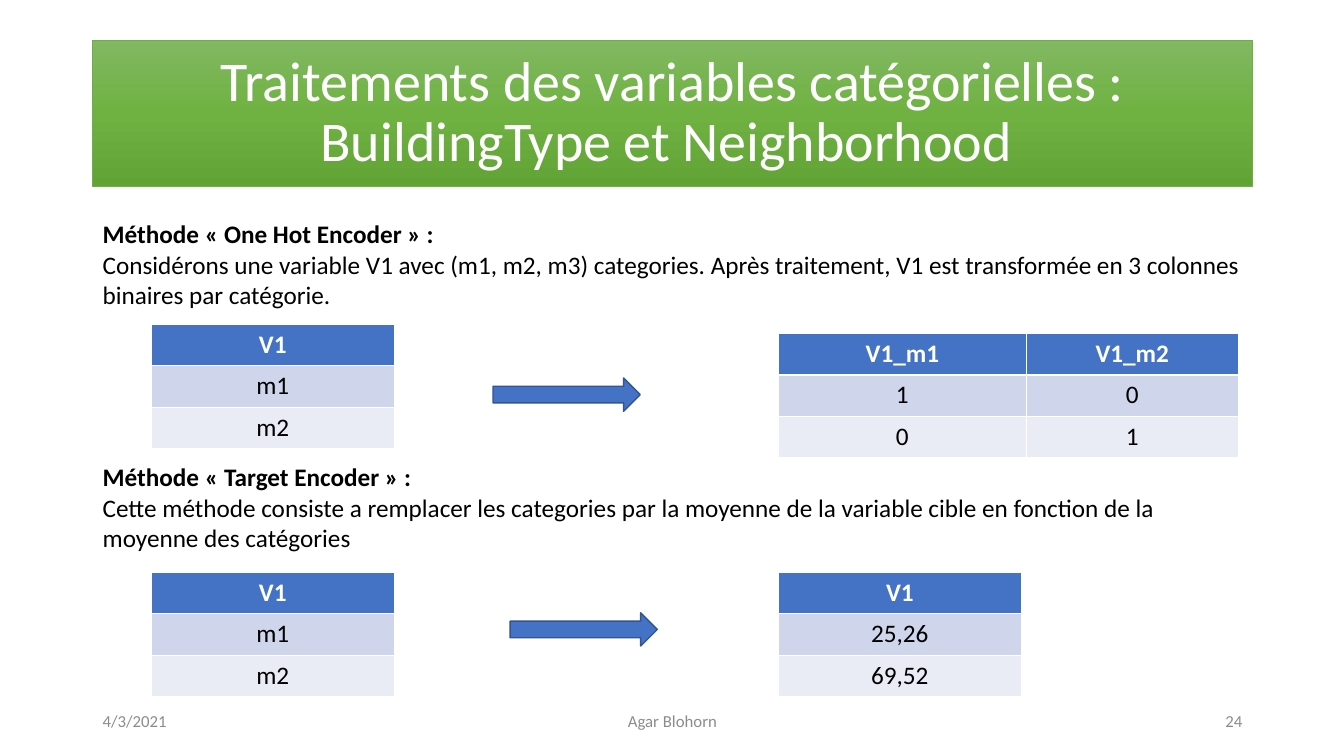
import copy

import pptx
import pptx.dml.color
import pptx.enum.shapes
import pptx.enum.text
import pptx.oxml.ns
import pptx.util
from pptx.dml.color import RGBColor
from pptx.enum.text import MSO_ANCHOR, PP_ALIGN
from pptx.util import Inches, Pt

FONT = "Calibri"
WHITE = RGBColor(0xFF, 0xFF, 0xFF)
BLACK = RGBColor(0, 0, 0)
GREY = RGBColor(0x8C, 0x8C, 0x8C)
BLUE = RGBColor(0x44, 0x72, 0xC4)
DARK_BLUE = RGBColor(0x32, 0x54, 0x91)
BANDS = [RGBColor(0xCF, 0xD5, 0xEA), RGBColor(0xE9, 0xEB, 0xF5)]
GREEN = RGBColor(0x70, 0xAD, 0x47)
GREEN_STOPS = [
    (0, RGBColor(0x81, 0xB8, 0x61)),
    (0.5, RGBColor(0x6F, 0xB2, 0x42)),
    (1, RGBColor(0x62, 0xA3, 0x36)),
]

LEFT, WIDTH, ROW_HEIGHT = 0.92, 11.5, 0.41
TITLE = "Traitements des variables catégorielles :\vBuildingType et Neighborhood "
BEFORE = [["V1"], ["m1"], ["m2"]]
METHODS = [
    {
        "heading": "Méthode «\u00a0One Hot Encoder\u00a0» :",
        "text": "Considérons une variable V1 avec (m1, m2, m3) categories. "
                "Après traitement, V1 est transformée en 3 colonnes binaires par catégorie. ",
        "text_top": 2.12,
        "before_top": 3.22,
        "arrow_at": (4.89, 3.75),
        "after": [["V1_m1", "V1_m2"], ["1", "0"], ["0", "1"]],
        "after_top": 3.31,
        "after_widths": [2.46, 2.1],
    },
    {
        "heading": "Méthode «\u00a0Target Encoder\u00a0» : ",
        "text": "Cette méthode consiste a remplacer les categories par la moyenne "
                "de la variable cible en fonction de la moyenne des catégories",
        "text_top": 4.53,
        "before_top": 5.68,
        "arrow_at": (5.06, 6.08),
        "after": [["V1"], ["25,26"], ["69,52"]],
        "after_top": 5.68,
        "after_widths": [2.41],
    },
]
FOOTER = [  # text, left, width, alignment
    ("4/3/2021", 0.92, 3, PP_ALIGN.LEFT),
    ("Agar Blohorn", 4.42, 4.5, PP_ALIGN.CENTER),
    ("24", 9.42, 3, PP_ALIGN.RIGHT),
]


def format_paragraph(paragraph, size, color, align=PP_ALIGN.LEFT, bold=False):
    """Set the font and alignment of a whole paragraph."""
    font = paragraph.font
    font.name, font.size, font.bold = FONT, Pt(size), bold
    font.color.rgb = color
    paragraph.alignment = align


def add_text(slide, lines, left, top, width, height):
    """Add a wrapping text box and return its text frame."""
    frame = slide.shapes.add_textbox(
        Inches(left), Inches(top), Inches(width), Inches(height)).text_frame
    frame.word_wrap = True
    frame.text = "\n".join(lines)
    return frame


def fill_title(title):
    """Place the title on its green gradient band."""
    title.left, title.top = Inches(LEFT), Inches(0.4)
    title.width, title.height = Inches(WIDTH), Inches(1.45)
    title.fill.gradient()
    title.fill.gradient_angle = 270
    stop_list = title._element.spPr.find(".//" + pptx.oxml.ns.qn("a:gsLst"))
    stop_list.append(copy.deepcopy(stop_list[-1]))
    for stop, (position, color) in zip(title.fill.gradient_stops, GREEN_STOPS):
        stop.position = position
        stop.color.rgb = color
    title.line.color.rgb = GREEN
    title.line.width = Pt(0.5)
    frame = title.text_frame
    frame.text = TITLE
    frame.word_wrap = True
    frame.auto_size = pptx.enum.text.MSO_AUTO_SIZE.NONE
    frame.vertical_anchor = MSO_ANCHOR.MIDDLE
    format_paragraph(frame.paragraphs[0], 40, WHITE, PP_ALIGN.CENTER)
    frame.paragraphs[0].line_spacing = 0.9


def add_values(slide, rows, left, top, widths):
    """Add a table with a blue header and banded rows."""
    table = slide.shapes.add_table(
        len(rows), len(widths), Inches(left), Inches(top),
        Inches(sum(widths)), Inches(ROW_HEIGHT * len(rows))).table
    for column, width in zip(table.columns, widths):
        column.width = Inches(width)
    for r, row in enumerate(rows):
        header = r == 0
        for c, value in enumerate(row):
            cell = table.cell(r, c)
            cell.text = value
            cell.fill.solid()
            cell.fill.fore_color.rgb = BLUE if header else BANDS[(r - 1) % 2]
            format_paragraph(cell.text_frame.paragraphs[0], 18,
                             WHITE if header else BLACK, PP_ALIGN.CENTER, header)


def add_arrow(slide, left, top):
    """Add the block arrow between two tables."""
    arrow = slide.shapes.add_shape(
        pptx.enum.shapes.MSO_SHAPE.RIGHT_ARROW,
        Inches(left), Inches(top), Inches(1.46), Inches(0.33))
    arrow.shadow.inherit = False
    arrow.fill.solid()
    arrow.fill.fore_color.rgb = BLUE
    arrow.line.color.rgb = DARK_BLUE
    arrow.line.width = Pt(1)


def add_method(slide, method):
    """Add one encoding method: explanation, tables and arrow."""
    frame = add_text(slide, [method["heading"], method["text"]],
                     LEFT, method["text_top"], WIDTH, 1.01)
    for paragraph, bold in zip(frame.paragraphs, (True, False)):
        format_paragraph(paragraph, 18, BLACK, bold=bold)
    add_values(slide, BEFORE, 1.5, method["before_top"], [2.41])
    add_arrow(slide, *method["arrow_at"])
    add_values(slide, method["after"], 7.72, method["after_top"], method["after_widths"])


presentation = pptx.Presentation()
presentation.slide_width, presentation.slide_height = Inches(13.33), Inches(7.5)
slide = presentation.slides.add_slide(presentation.slide_layouts[5])
fill_title(slide.shapes.title)
for text, left, width, align in FOOTER:
    footer = add_text(slide, [text], left, 6.95, width, 0.4)
    footer.vertical_anchor = MSO_ANCHOR.MIDDLE
    format_paragraph(footer.paragraphs[0], 12, GREY, align)
for method in METHODS:
    add_method(slide, method)
presentation.save("out.pptx")
